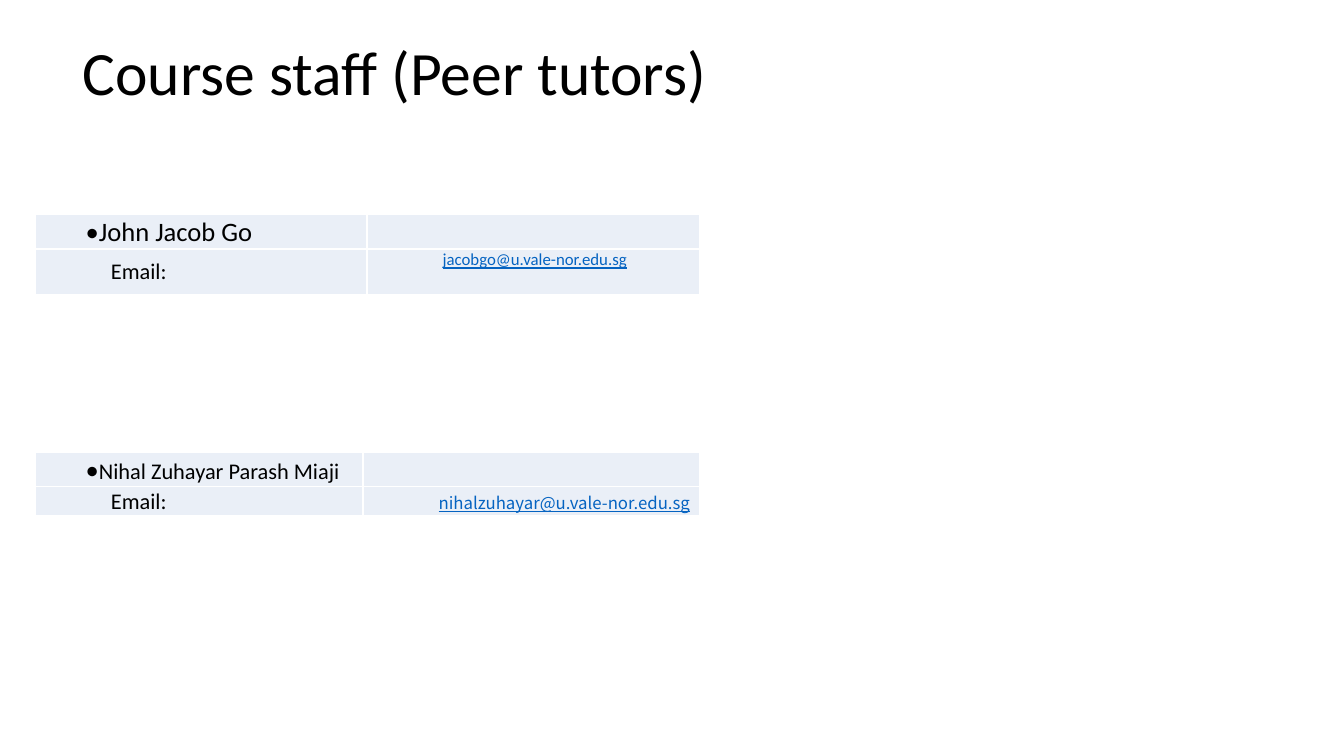
from lxml.etree import SubElement
from pptx import Presentation
from pptx.dml.color import RGBColor
from pptx.enum.text import MSO_ANCHOR
from pptx.oxml.ns import qn
from pptx.util import Inches, Pt

COLORS = {"ink": "000000", "link": "0563C1", "cell": "EAEFF7", "rule": "FFFFFF"}
BODY, MAIL = "Calibri", "Noto Sans CJK SC"
TITLE = "Course staff (Peer tutors)"
TUTORS = [
    {"top": 2.13, "cols": (3.29, 3.3), "rows": (0.34, 0.45),
     "name": [("•John Jacob Go", 19)],
     "mail": "jacobgo@u.vale-nor.edu.sg", "font": BODY, "anchor": MSO_ANCHOR.TOP},
    {"top": 4.49, "cols": (3.25, 3.34), "rows": (0.34, 0.29),
     "name": [("•", 19), ("Nihal Zuhayar Parash Miaji", 16)],
     "mail": "nihalzuhayar@u.vale-nor.edu.sg", "font": MAIL, "anchor": MSO_ANCHOR.MIDDLE},
]


def add_run(para, text, size, font=BODY, color="ink"):
    run = para.add_run()
    run.text = text
    run.font.size = Pt(size)
    run.font.name = font
    run.font.color.rgb = RGBColor.from_string(COLORS[color])
    run.font.underline = True if color == "link" else None


def style_cell(cell, left):
    cell.margin_left = Inches(left)
    cell.margin_top = cell.margin_right = Inches(0.01)
    cell.margin_bottom = 0
    cell.vertical_anchor = MSO_ANCHOR.MIDDLE
    props = cell._tc.get_or_add_tcPr()
    for side in ("a:lnL", "a:lnR", "a:lnT", "a:lnB"):
        line = SubElement(props, qn(side), w=str(Pt(1)))
        fill = SubElement(line, qn("a:solidFill"))
        SubElement(fill, qn("a:srgbClr"), val=COLORS["rule"])
    cell.fill.solid()
    cell.fill.fore_color.rgb = RGBColor.from_string(COLORS["cell"])


def add_tutor(slide, tutor):
    cols, rows = tutor["cols"], tutor["rows"]
    frame = slide.shapes.add_table(2, 2, Inches(0.35), Inches(tutor["top"]),
                                   Inches(sum(cols)), Inches(sum(rows)))
    table = frame.table
    for col, width in zip(table.columns, cols):
        col.width = Inches(width)
    for row, height, left in zip(table.rows, rows, (0.5, 0.75)):
        row.height = Inches(height)
        for cell in row.cells:
            style_cell(cell, left)
    for text, size in tutor["name"]:
        add_run(table.cell(0, 0).text_frame.paragraphs[0], text, size)
    add_run(table.cell(1, 0).text_frame.paragraphs[0], "Email:", 16)
    mail = table.cell(1, 1)
    mail.vertical_anchor = tutor["anchor"]
    add_run(mail.text_frame.paragraphs[0], tutor["mail"], 12, tutor["font"], "link")


deck = Presentation()
deck.slide_width, deck.slide_height = Inches(13.33), Inches(7.5)
slide = deck.slides.add_slide(deck.slide_layouts[6])

box = slide.shapes.add_textbox(Inches(0.72), Inches(0.02), Inches(11.5), Inches(1.45))
box.text_frame.word_wrap = True
box.text_frame.vertical_anchor = MSO_ANCHOR.MIDDLE
head = box.text_frame.paragraphs[0]
head.line_spacing = 0.9
add_run(head, TITLE, 44)

for tutor in TUTORS:
    add_tutor(slide, tutor)

deck.save("out.pptx")
